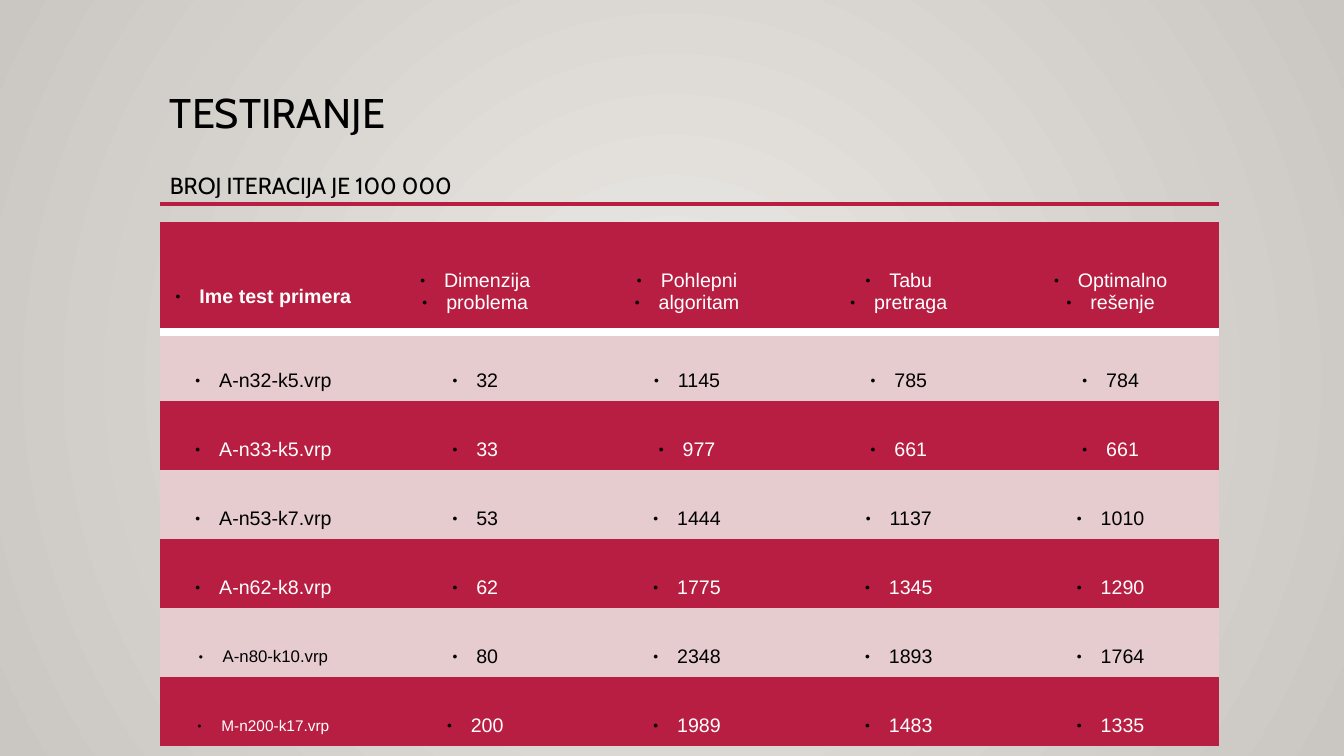
from lxml import etree
from pptx import Presentation, util as u
from pptx.dml.color import RGBColor
from pptx.enum import shapes, text
from pptx.oxml import parse_xml
from pptx.oxml.ns import nsdecls, qn

SCALE = 12192000 / 1344
INK = {"red": "B71E42", "pink": "E6CCCF", "white": "FFFFFF",
       "black": "000000", "light": "ECEAE7", "dark": "CAC6C1"}
LEFT, WIDE = 160, 1059
PLAIN = "{2D5ABB26-0587-4C30-8999-92F81FD0307C}"
HEADS = [["Ime test primera"], ["Dimenzija", "problema"],
         ["Pohlepni", "algoritam"], ["Tabu", "pretraga"],
         ["Optimalno", "rešenje"]]
TESTS = [("A-n32-k5.vrp", 32, 1145, 785, 784),
         ("A-n33-k5.vrp", 33, 977, 661, 661),
         ("A-n53-k7.vrp", 53, 1444, 1137, 1010),
         ("A-n62-k8.vrp", 62, 1775, 1345, 1290),
         ("A-n80-k10.vrp", 80, 2348, 1893, 1764),
         ("M-n200-k17.vrp", 200, 1989, 1483, 1335)]
SMALL = {"A-n80-k10.vrp": 12, "M-n200-k17.vrp": 11}


def px(n):
    return u.Emu(round(n * SCALE))


def color(name):
    return RGBColor.from_string(INK[name])


def add_run(para, words, size, ink, face, bold=False):
    run = para.add_run()
    run.text = words
    font = run.font
    font.size, font.name, font.bold = u.Pt(size), face, bold
    font.color.rgb = color(ink)


def add_back(slide):
    """Fill the background with a round gradient, light in the centre."""
    fill = slide.background.fill
    fill.gradient()
    for stop, name in zip(fill.gradient_stops, ("light", "dark")):
        stop.color.rgb = color(name)
    grad = next(slide.element.iter(qn("a:gradFill")))
    grad.remove(grad.find(qn("a:lin")))
    grad.append(parse_xml(
        f'<a:path {nsdecls("a")} path="circle"><a:fillToRect l="50000" '
        't="50000" r="50000" b="50000"/></a:path>'))


def add_rule(slide):
    rule = slide.shapes.add_connector(
        shapes.MSO_CONNECTOR.STRAIGHT, px(LEFT), px(204),
        px(LEFT + WIDE), px(204))
    rule.line.color.rgb = color("red")
    rule.line.width = u.Pt(2.5)
    etree.SubElement(rule.element.spPr, qn("a:effectLst"))


def add_title(slide):
    frame = slide.shapes.add_textbox(
        px(LEFT), px(89), px(WIDE), px(115)).text_frame
    frame.word_wrap = True
    frame.vertical_anchor = text.MSO_ANCHOR.BOTTOM
    head, sub = frame.paragraphs[0], frame.add_paragraph()
    head.line_spacing = sub.line_spacing = 0.8
    sub.space_before = u.Pt(29)
    add_run(head, "TESTIRANJE", 29.6, "black", "Cabin")
    add_run(sub, "BROJ ITERACIJA JE 100 000", 16.6, "black", "Cabin")


def add_bullet(para):
    props = para._p.get_or_add_pPr()
    props.set("marL", str(px(24)))
    props.set("indent", str(-px(24)))
    ns = nsdecls("a")
    for item in (f'<a:buClr {ns}><a:srgbClr val="{INK["black"]}"/></a:buClr>',
                 f'<a:buSzPct {ns} val="45000"/>',
                 f'<a:buFont {ns} typeface="Arial"/>',
                 f'<a:buChar {ns} char="●"/>'):
        props.append(parse_xml(item))


def fill_cell(cell, lines, back, ink, size=14, bold=False):
    cell.fill.solid()
    cell.fill.fore_color.rgb = color(back)
    cell.vertical_anchor = text.MSO_ANCHOR.MIDDLE
    cell.margin_left, cell.margin_right = px(10), px(15)
    cell.margin_top, cell.margin_bottom = px(44 if bold else 34), px(5)
    frame = cell.text_frame
    for i, line in enumerate(lines):
        para = frame.add_paragraph() if i else frame.paragraphs[0]
        para.alignment = text.PP_ALIGN.CENTER
        add_bullet(para)
        add_run(para, line, size, ink, "Arial", bold)


def add_edge(cell):
    """Draw the thick white line under a header cell."""
    cell._tc.get_or_add_tcPr().insert(0, parse_xml(
        f'<a:lnB {nsdecls("a")} w="{u.Pt(6)}"><a:solidFill>'
        f'<a:srgbClr val="{INK["white"]}"/></a:solidFill></a:lnB>'))


def add_grid(slide):
    high = [110] + [69] * len(TESTS)
    grid = slide.shapes.add_table(
        len(high), len(HEADS), px(LEFT), px(222), px(WIDE),
        px(sum(high))).table
    grid._tbl.tblPr.find(qn("a:tableStyleId")).text = PLAIN
    grid.first_row = grid.horz_banding = False
    for row, size in zip(grid.rows, high):
        row.height = px(size)
    for i, lines in enumerate(HEADS):
        cell = grid.cell(0, i)
        fill_cell(cell, lines, "red", "white", bold=i == 0)
        add_edge(cell)
    for r, test in enumerate(TESTS, 1):
        back, ink = ("pink", "black") if r % 2 else ("red", "white")
        for c, value in enumerate(test):
            fill_cell(grid.cell(r, c), [str(value)], back, ink,
                      SMALL.get(value, 14))


def main():
    deck = Presentation()
    deck.slide_width, deck.slide_height = px(1344), px(756)
    slide = deck.slides.add_slide(deck.slide_layouts[6])
    add_back(slide)
    add_rule(slide)
    add_title(slide)
    add_grid(slide)
    deck.save("out.pptx")


if __name__ == "__main__":
    main()
